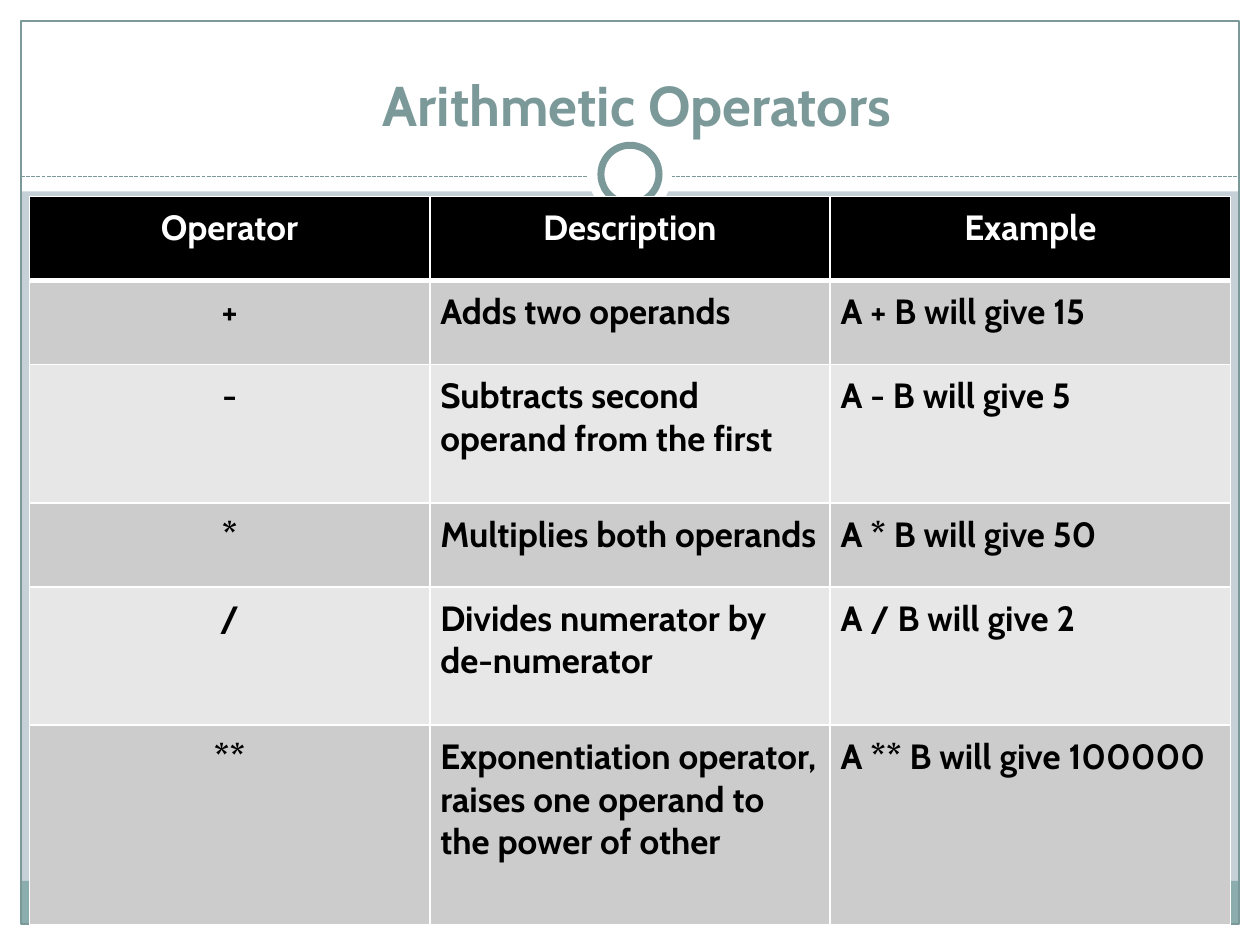
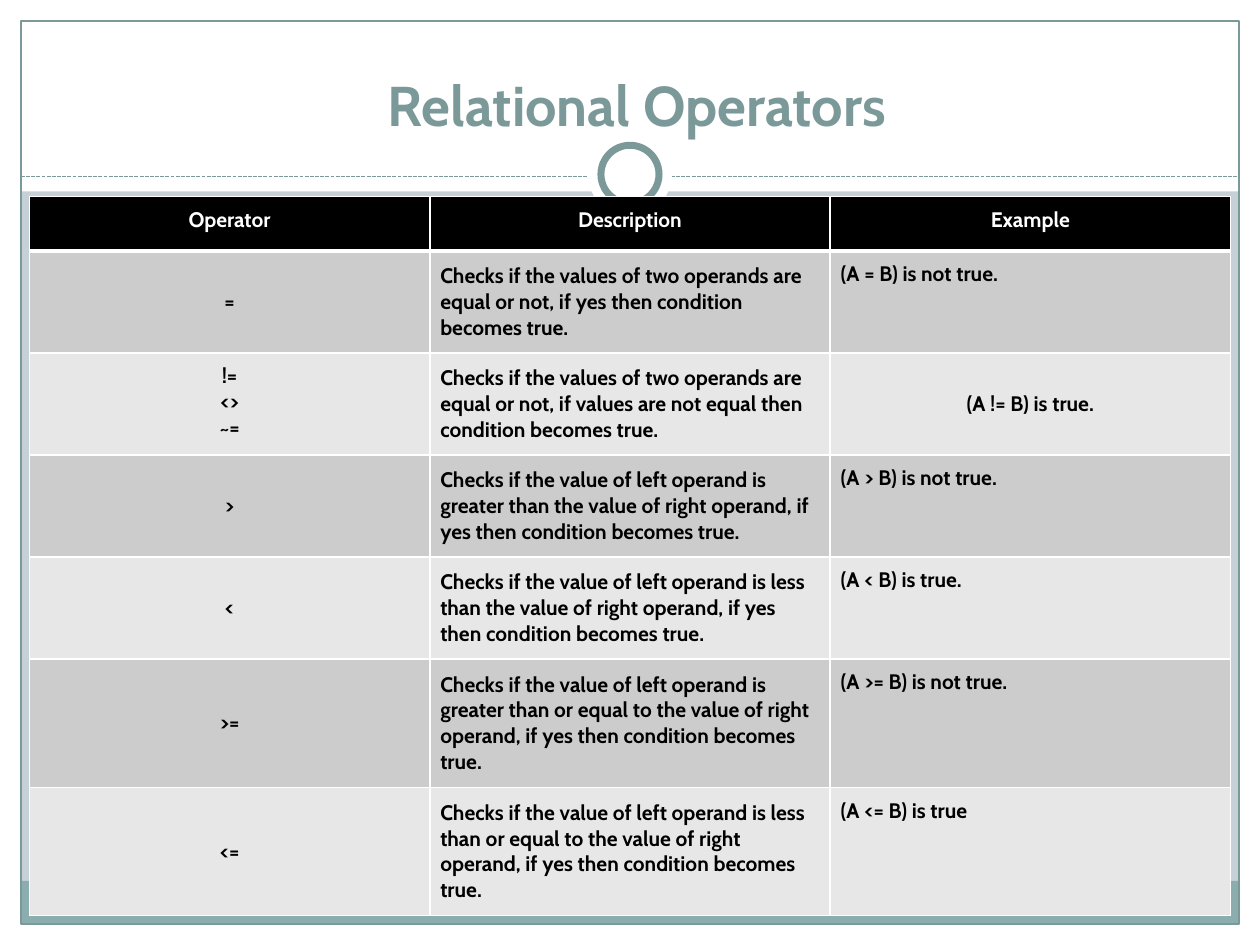
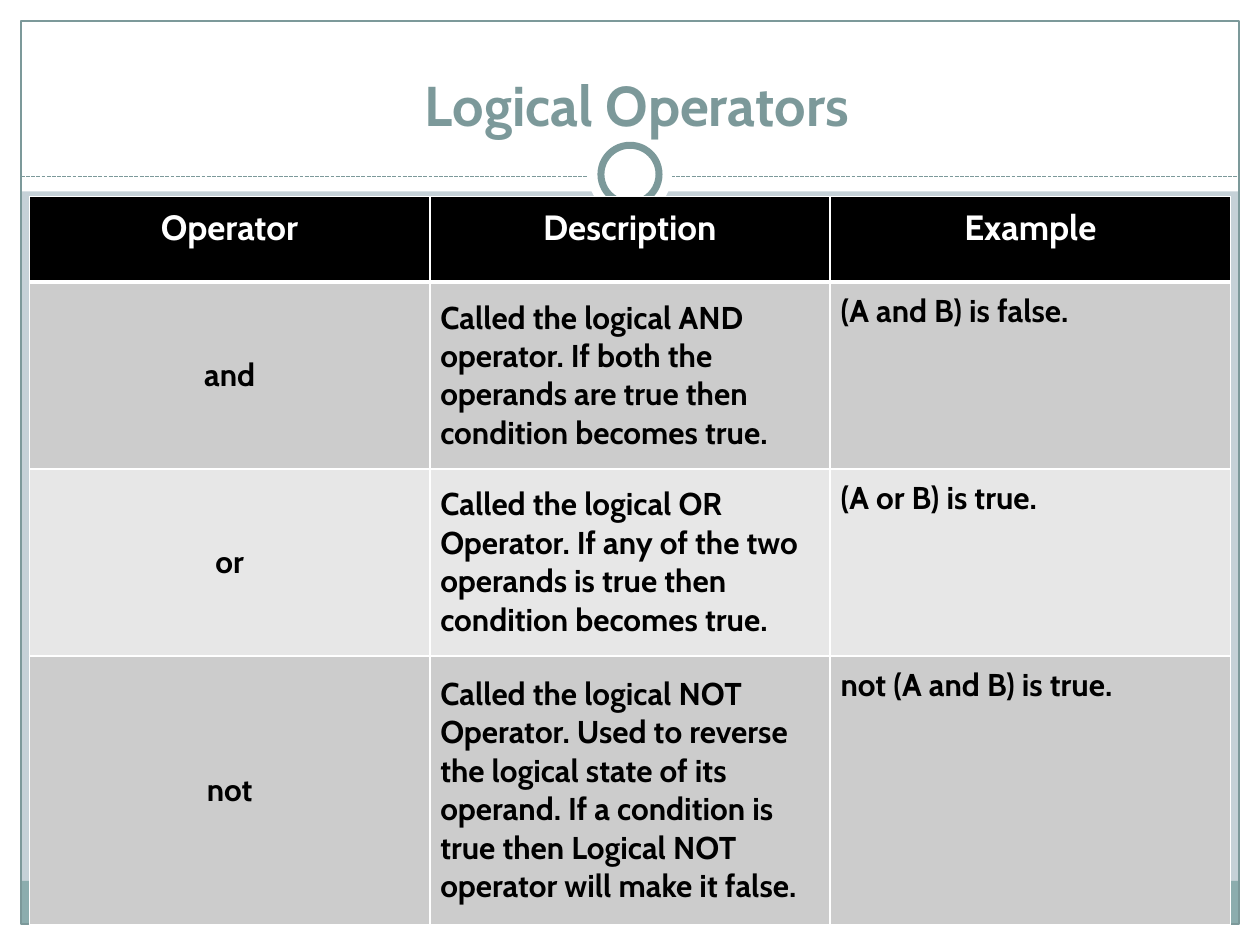
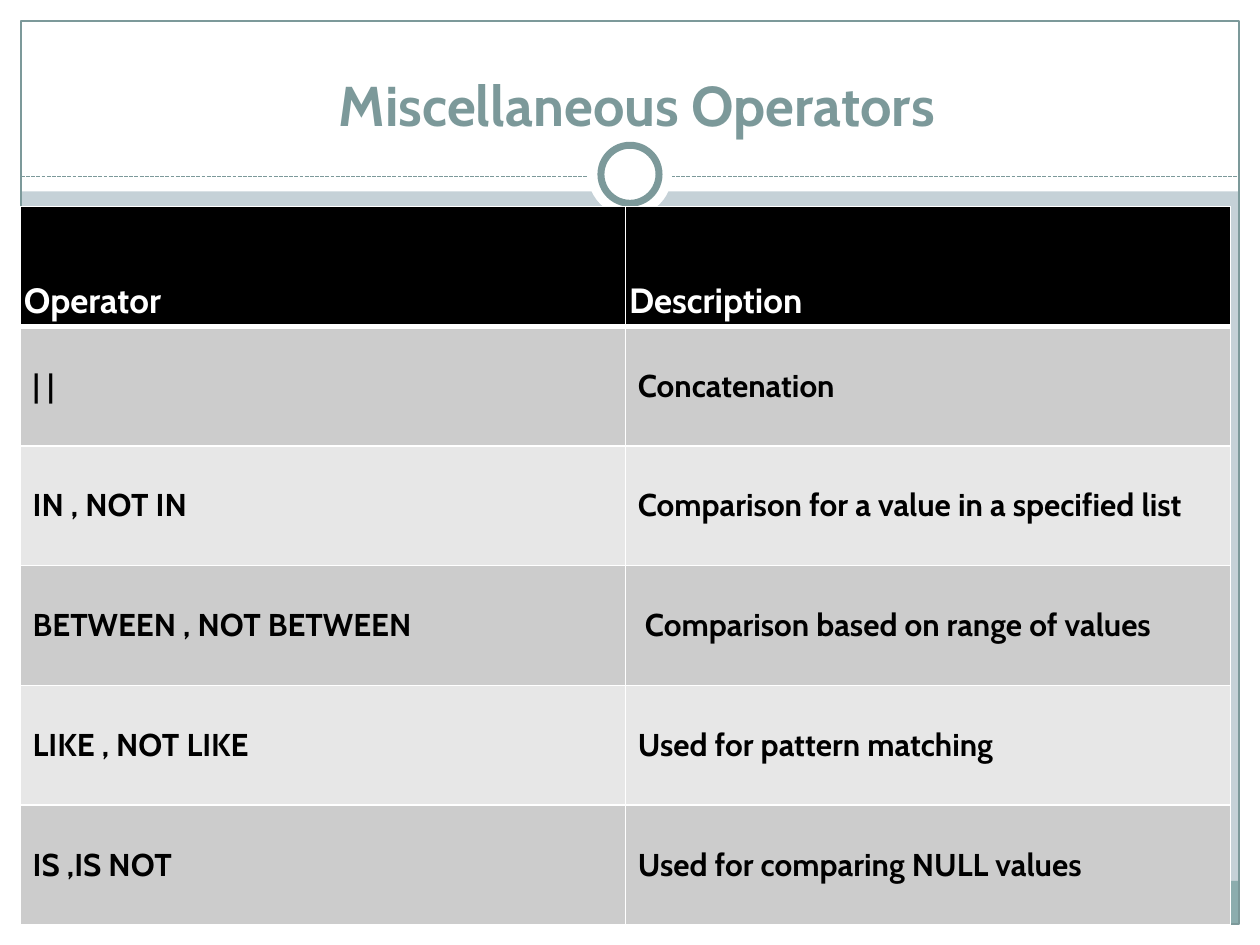
"""Build four slides with tables of operators."""
from lxml.etree import SubElement
from pptx import Presentation
from pptx.dml.color import RGBColor
from pptx.enum.dml import MSO_LINE
from pptx.enum.shapes import MSO_CONNECTOR, MSO_SHAPE
from pptx.enum.text import MSO_ANCHOR, PP_ALIGN
from pptx.oxml.ns import qn
from pptx.util import Pt

COLORS = {
    "background": "C5D1D7",
    "white": "FFFFFF",
    "black": "000000",
    "accent": "7C999A",
    "footer": "8CADAE",
    "odd_row": "CCCCCC",
    "even_row": "E7E7E7",
}
FONT = "Cabin"
WIDTH, HEIGHT, MARGIN = 720, 540, 12
BAND_HEIGHT = 109.4
RULE_TOP = 100.8
RING_CENTER = (360, 99.6)
CELL_BORDER, HEADER_BORDER = 1, 3

CENTER_TOP = (PP_ALIGN.CENTER, MSO_ANCHOR.TOP)
CENTER_MIDDLE = (PP_ALIGN.CENTER, MSO_ANCHOR.MIDDLE)
LEFT_TOP = (PP_ALIGN.LEFT, MSO_ANCHOR.TOP)
LEFT_MIDDLE = (PP_ALIGN.LEFT, MSO_ANCHOR.MIDDLE)
LEFT_BOTTOM = (PP_ALIGN.LEFT, MSO_ANCHOR.BOTTOM)

HEADER = ("Operator", "Description", "Example")
THREE_COLUMNS = {"left": 16.8, "top": 112.4, "width": 686.4}

ARITHMETIC = [
    HEADER,
    ("+", "Adds two operands", "A + B will give 15"),
    ("-", "Subtracts second operand from the first", "A - B will give 5"),
    ("*", "Multiplies both operands", "A * B will give 50"),
    ("/", "Divides numerator by de-numerator", "A / B will give 2"),
    ("**", "Exponentiation operator, raises one operand to the power of other",
     "A ** B will give 100000"),
]
RELATIONAL = [
    HEADER,
    ("=", "Checks if the values of two operands are equal or not, "
     "if yes then condition becomes true.", "(A = B) is not true."),
    ("!=\n<>\n~=", "Checks if the values of two operands are equal or not, "
     "if values are not equal then condition becomes true.", "(A != B) is true."),
    (">", "Checks if the value of left operand is greater than the value of "
     "right operand, if yes then condition becomes true.", "(A > B) is not true."),
    ("<", "Checks if the value of left operand is less than the value of "
     "right operand, if yes then condition becomes true.", "(A < B) is true."),
    (">=", "Checks if the value of left operand is greater than or equal to the value of "
     "right operand, if yes then condition becomes true.", "(A >= B) is not true."),
    ("<=", "Checks if the value of left operand is less than or equal to the value of "
     "right operand, if yes then condition becomes true.", "(A <= B) is true"),
]
LOGICAL = [
    HEADER,
    ("and", "Called the logical AND operator. If both the operands are true "
     "then condition becomes true.", "(A and B) is false."),
    ("or", "Called the logical OR Operator. If any of the two operands is true "
     "then condition becomes true.", "(A or B) is true."),
    ("not", "Called the logical NOT Operator. Used to reverse the logical state of its "
     "operand. If a condition is true then Logical NOT operator will make it false.",
     "not (A and B) is true."),
]
MISCELLANEOUS = [
    HEADER[:2],
    ("| |", "Concatenation"),
    ("IN , NOT IN", "Comparison for a value in a specified list"),
    ("BETWEEN , NOT BETWEEN", " Comparison based on range of values"),
    ("LIKE , NOT LIKE", "Used for pattern matching"),
    ("IS ,IS NOT", "Used for comparing NULL values"),
]


def color(name):
    """Return the named colour."""
    return RGBColor.from_string(COLORS[name])


def write_text(frame, text, *, size, color_name, align):
    """Write one bold paragraph for each line of the text."""
    frame.word_wrap = True
    for index, line in enumerate(text.split("\n")):
        paragraph = frame.add_paragraph() if index else frame.paragraphs[0]
        paragraph.alignment = align
        run = paragraph.add_run()
        run.text = line
        run.font.name = FONT
        run.font.size = Pt(size)
        run.font.bold = True
        run.font.color.rgb = color(color_name)


class OperatorDeck:
    """Hold the shared style and the current slide."""

    def __init__(self):
        """Start an empty presentation."""
        self.presentation = Presentation()
        self.presentation.slide_width = Pt(WIDTH)
        self.presentation.slide_height = Pt(HEIGHT)
        self.slide = None

    def add_slide(self, title):
        """Add a slide with its frame and title."""
        self.slide = self.presentation.slides.add_slide(self.presentation.slide_layouts[6])
        fill = self.slide.background.fill
        fill.solid()
        fill.fore_color.rgb = color("background")
        inner_width, inner_height = WIDTH - 2 * MARGIN, HEIGHT - 2 * MARGIN
        for box in (
            (0, HEIGHT - MARGIN, WIDTH, MARGIN),
            (0, 0, WIDTH, BAND_HEIGHT),
            (0, 0, MARGIN, HEIGHT),
            (WIDTH - MARGIN, 0, MARGIN, HEIGHT),
        ):
            self.add_shape(box, fill="white")
        self.add_shape((MARGIN, 503.4, inner_width, 24.6), fill="footer")
        self.add_shape((MARGIN, MARGIN, inner_width, inner_height), line_width=0.75)
        self.add_rule()
        self.add_circle(48)
        self.add_circle(33.2, line_width=4)
        self.add_title(title)

    def add_shape(self, box, kind=MSO_SHAPE.RECTANGLE, fill=None, line_width=None):
        """Add a preset shape with an optional fill and outline."""
        shape = self.slide.shapes.add_shape(kind, *map(Pt, box))
        shape.shadow.inherit = False
        if fill:
            shape.fill.solid()
            shape.fill.fore_color.rgb = color(fill)
        else:
            shape.fill.background()
        if line_width:
            shape.line.color.rgb = color("accent")
            shape.line.width = Pt(line_width)
        else:
            shape.line.fill.background()

    def add_circle(self, diameter, line_width=None):
        """Add a white circle around the centre of the ring."""
        left, top = (middle - diameter / 2 for middle in RING_CENTER)
        self.add_shape((left, top, diameter, diameter), MSO_SHAPE.OVAL, "white", line_width)

    def add_rule(self):
        """Add the dashed line under the title."""
        connector = self.slide.shapes.add_connector(
            MSO_CONNECTOR.STRAIGHT, Pt(MARGIN), Pt(RULE_TOP), Pt(WIDTH - MARGIN), Pt(RULE_TOP))
        connector.line.color.rgb = color("accent")
        connector.line.width = Pt(0.75)
        connector.line.dash_style = MSO_LINE.SQUARE_DOT
        SubElement(connector._element.spPr, qn("a:effectLst"))

    def add_title(self, text):
        """Add the slide title."""
        frame = self.slide.shapes.add_textbox(Pt(28), Pt(22.3), Pt(672), Pt(59.8)).text_frame
        frame.vertical_anchor = MSO_ANCHOR.BOTTOM
        write_text(frame, text, size=32, color_name="accent", align=PP_ALIGN.CENTER)

    def add_table(self, rows, heights, columns, *, left, top, width, size, header_size=None,
                  header_format=CENTER_TOP, insets=(6, 6), header_insets=(6, 6), exceptions=None):
        """Add a table with a black header and banded rows."""
        table = self.slide.shapes.add_table(
            len(rows), len(columns), Pt(left), Pt(top), Pt(width), Pt(sum(heights))).table
        for column in table.columns:
            column.width = Pt(width / len(columns))
        for row_index, (texts, height) in enumerate(zip(rows, heights)):
            table.rows[row_index].height = Pt(height)
            is_header = row_index == 0
            band = "odd_row" if row_index % 2 else "even_row"
            for column_index, text in enumerate(texts):
                cell = table.cell(row_index, column_index)
                cell_format = header_format if is_header else columns[column_index]
                align, anchor = (exceptions or {}).get((row_index, column_index), cell_format)
                cell.vertical_anchor = anchor
                side, edge = map(Pt, header_insets if is_header else insets)
                cell.margin_left = cell.margin_right = side
                cell.margin_top = cell.margin_bottom = edge
                self.add_borders(cell, row_index)
                cell.fill.solid()
                cell.fill.fore_color.rgb = color("black" if is_header else band)
                write_text(cell.text_frame, text, align=align,
                           size=header_size or size if is_header else size,
                           color_name="white" if is_header else "black")

    def add_borders(self, cell, row_index):
        """Draw white cell borders, thicker below the header."""
        properties = cell._tc.get_or_add_tcPr()
        thick_edge = {0: "lnB", 1: "lnT"}.get(row_index)
        for edge in ("lnL", "lnR", "lnT", "lnB"):
            width = HEADER_BORDER if edge == thick_edge else CELL_BORDER
            line = SubElement(properties, qn(f"a:{edge}"), w=str(Pt(width)))
            fill = SubElement(line, qn("a:solidFill"))
            SubElement(fill, qn("a:srgbClr"), val=COLORS["white"])


def main():
    """Build and save the presentation."""
    deck = OperatorDeck()

    deck.add_slide("Arithmetic Operators")
    deck.add_table(ARITHMETIC, [48, 48, 79, 48, 79, 114], [CENTER_TOP, LEFT_TOP, LEFT_TOP],
                   size=20, **THREE_COLUMNS)

    deck.add_slide("Relational Operators")
    deck.add_table(RELATIONAL, [31] + [58.3] * 4 + [73.4] * 2,
                   [CENTER_MIDDLE, LEFT_MIDDLE, LEFT_TOP], size=12,
                   exceptions={(2, 0): CENTER_TOP, (2, 2): CENTER_MIDDLE}, **THREE_COLUMNS)

    deck.add_slide("Logical Operators")
    deck.add_table(LOGICAL, [48.8, 106.8, 106.8, 153.6],
                   [CENTER_MIDDLE, LEFT_MIDDLE, LEFT_TOP], size=18, header_size=20,
                   **THREE_COLUMNS)

    deck.add_slide("Miscellaneous Operators")
    deck.add_table(MISCELLANEOUS, [68.4] * 6, [LEFT_MIDDLE] * 2, left=11.5, top=118,
                   width=691.6, size=18, header_size=20, header_format=LEFT_BOTTOM,
                   insets=(7.2, 3.6), header_insets=(2.2, 2.2))

    deck.presentation.save("out.pptx")


if __name__ == "__main__":
    main()
